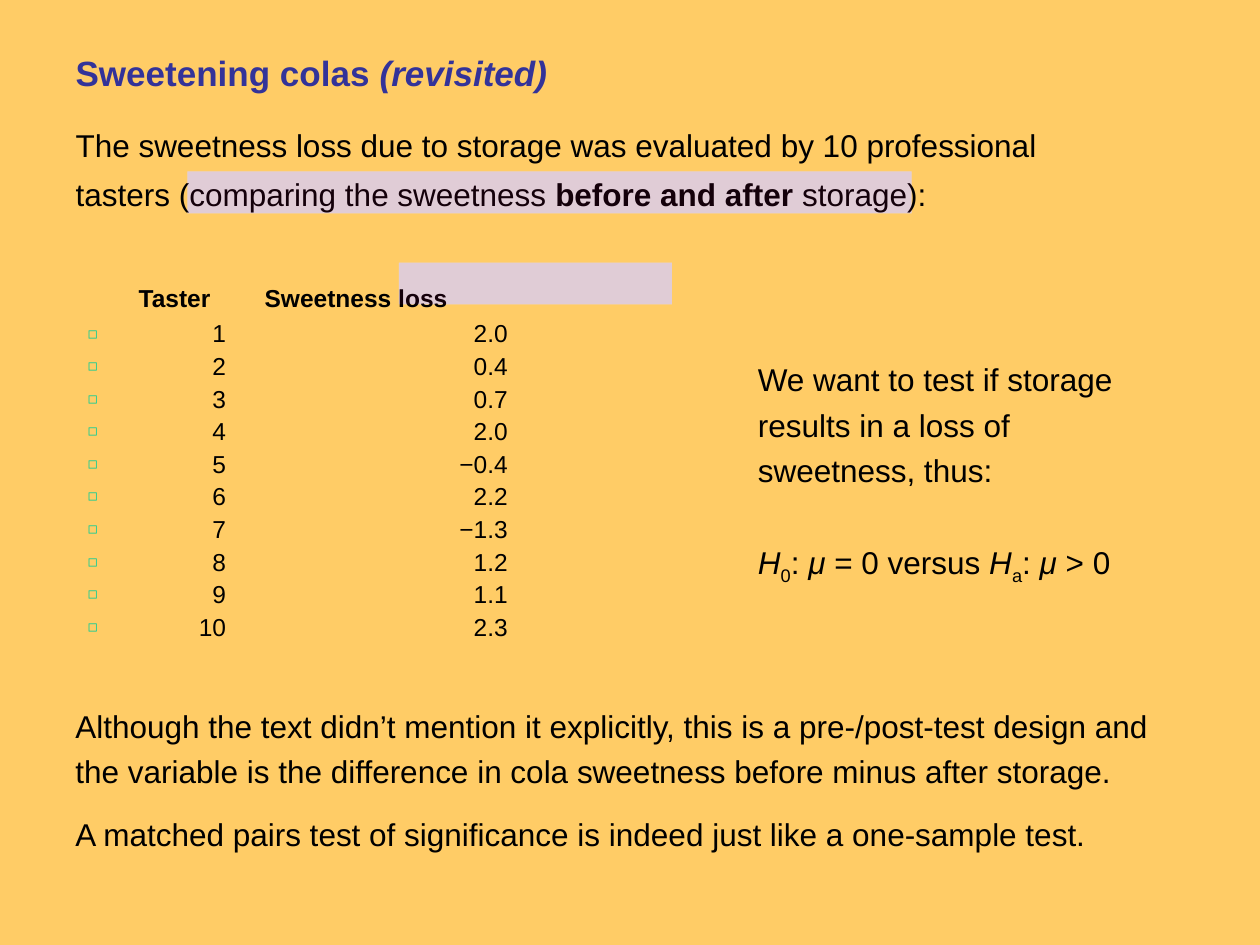
import pptx
import pptx.util
import pptx.dml.color
import pptx.enum.shapes
import pptx.enum.text
import pptx.oxml
import pptx.oxml.ns

Pt = pptx.util.Pt
qn = pptx.oxml.ns.qn
NS = pptx.oxml.ns.nsdecls("a")


def rgb(value):
    return pptx.dml.color.RGBColor.from_string(value)


def write(p, text, size=18, color="000000", bold=False, italic=False, base=None):
    r = p.add_run()
    r.text = text
    r.font.name = "Arial"
    r.font.size = Pt(size)
    r.font.color.rgb = rgb(color)
    r.font.bold = bold
    r.font.italic = italic
    if base is not None:
        r._r.get_or_add_rPr().set("baseline", str(base * 1000))


prs = pptx.Presentation()
prs.slide_width, prs.slide_height = Pt(720), Pt(540)
s = prs.slides.add_slide(prs.slide_layouts[1])
s.background.fill.solid()
s.background.fill.fore_color.rgb = rgb("FFCC66")
title, body = s.shapes.title, s.placeholders[1]

note = s.shapes.add_textbox(Pt(426), Pt(198), Pt(252), Pt(140))
highlights = [(228, 150, 156, 24), (107, 98, 414, 24)]
for color, alpha in [("FFFFFF", None), ("660033", 20)]:
    for box in highlights:
        sp = s.shapes.add_shape(
            pptx.enum.shapes.MSO_SHAPE.RECTANGLE, *[Pt(v) for v in box])
        sp.shadow.inherit = False
        sp.line.fill.background()
        sp.fill.solid()
        sp.fill.fore_color.rgb = rgb(color)
        if alpha is None:
            title.element.addprevious(sp.element)
        else:
            clr = sp.element.spPr.find(".//" + qn("a:srgbClr"))
            clr.append(pptx.oxml.parse_xml(f'<a:alpha {NS} val="{alpha * 1000}"/>'))
closing = s.shapes.add_textbox(Pt(36), Pt(396), Pt(642), Pt(95))

for sp, box in [(title, (36, 26, 612, 32)), (body, (36, 62, 612, 346))]:
    sp.left, sp.top, sp.width, sp.height = [Pt(v) for v in box]
for sp in (title, body, note, closing):
    tf = sp.text_frame
    tf.word_wrap = True
    tf.auto_size = pptx.enum.text.MSO_AUTO_SIZE.NONE
    tf.vertical_anchor = pptx.enum.text.MSO_ANCHOR.TOP

p = title.text_frame.paragraphs[0]
p.alignment = pptx.enum.text.PP_ALIGN.LEFT
write(p, "Sweetening colas ", size=20, color="333399", bold=True)
write(p, "(revisited)", size=20, color="333399", bold=True, italic=True)

tf = body.text_frame
p = tf.paragraphs[0]
p.line_spacing = 1.3
p.space_before = Pt(0)
write(p, "The sweetness loss due to storage was evaluated by 10 professional "
         "tasters (comparing the sweetness ")
write(p, "before and after", bold=True)
write(p, " storage):")

losses = ["2.0", "0.4", "0.7", "2.0", "−0.4", "2.2", "−1.3", "1.2", "1.1", "2.3"]
rows = [("Taster", "Sweetness loss")] + list(enumerate(losses, 1))
for i, row in enumerate(rows):
    p = tf.add_paragraph()
    pPr = p._p.get_or_add_pPr()
    if i:
        for xml in (f'<a:buClr {NS}><a:srgbClr val="00CC99"/></a:buClr>',
                    f'<a:buSzPct {NS} val="65000"/>',
                    f'<a:buFont {NS} typeface="Arial"/>',
                    f'<a:buChar {NS} char="◻"/>'):
            pPr.append(pptx.oxml.parse_xml(xml))
    stops, algn = ((86, 247), "r") if i else ((72, 216), "l")
    tabs = "".join(f'<a:tab pos="{Pt(pos)}" algn="{algn}"/>' for pos in stops)
    pPr.append(pptx.oxml.parse_xml(f"<a:tabLst {NS}>{tabs}</a:tabLst>"))
    p.line_spacing = 0.9
    p.space_before = Pt({0: 42, 1: 5}.get(i, 3.5))
    write(p, "\t{}\t{}".format(*row), size=14, bold=i == 0)

for i, p in enumerate(tf.paragraphs):
    pPr = p._p.get_or_add_pPr()
    pPr.set("marL", "0")
    pPr.set("indent", str(Pt(7) if i > 1 else 0))
    if i < 2:
        none = pptx.oxml.parse_xml(f"<a:buNone {NS}/>")
        tab_list = pPr.find(qn("a:tabLst"))
        if tab_list is None:
            pPr.append(none)
        else:
            tab_list.addprevious(none)

tf = note.text_frame
p = tf.paragraphs[0]
p.line_spacing = 1.2
write(p, "We want to test if storage results in a loss of sweetness, thus:")
p = tf.add_paragraph()
p.line_spacing = 1.2
p.space_before = Pt(26)
for symbol, sub, mean in [("H", "0", " = 0 versus "), ("H", "a", " > 0")]:
    write(p, symbol, italic=True)
    write(p, sub, base=-25)
    write(p, ": ")
    write(p, "μ", italic=True)
    write(p, mean)

tf = closing.text_frame
p = tf.paragraphs[0]
p.line_spacing = 1.2
write(p, "Although the text didn’t mention it explicitly, this is a pre-/post-test "
         "design and the variable is the difference in cola sweetness before minus "
         "after storage.")
p = tf.add_paragraph()
p.line_spacing = 1.2
p.space_before = Pt(10)
write(p, "A matched pairs test of significance is indeed just like a one-sample test.")

prs.save("out.pptx")
